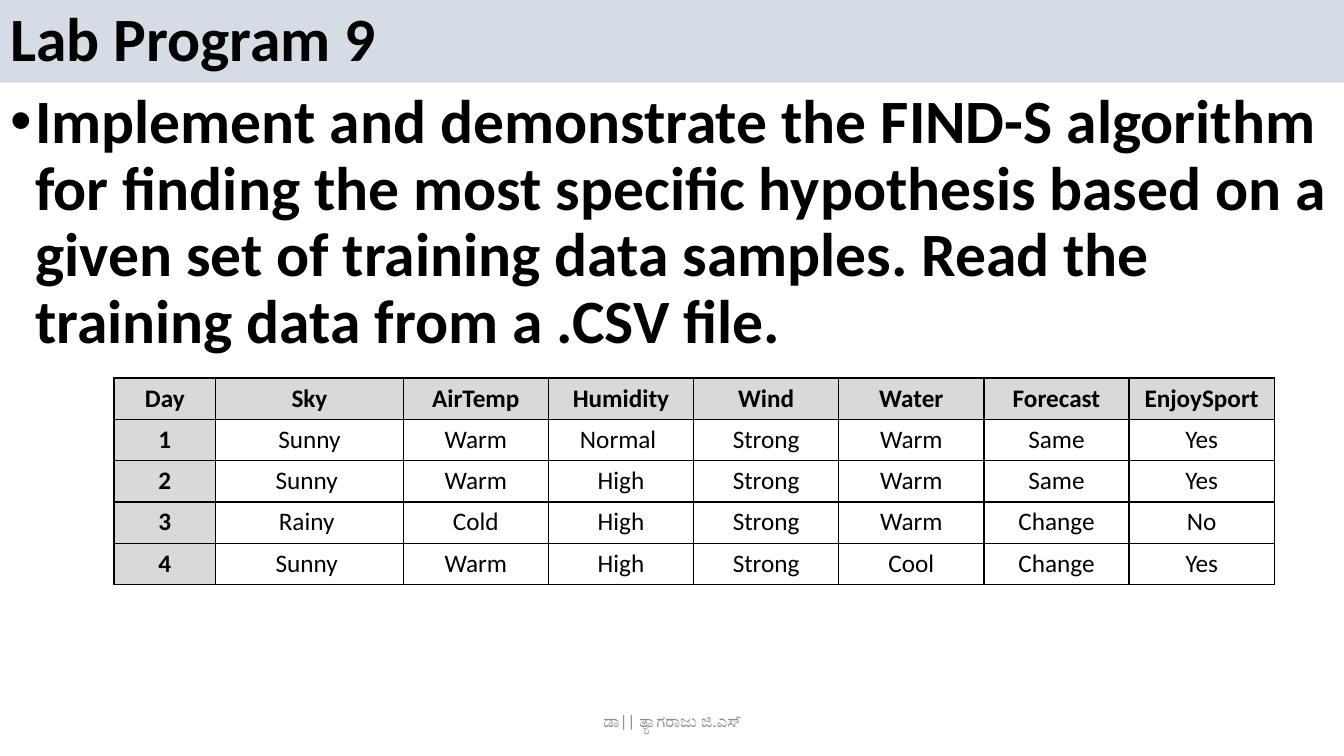
from typing import NamedTuple

from lxml.etree import SubElement
from pptx import Presentation
from pptx.dml.color import RGBColor
from pptx.enum.text import MSO_ANCHOR as Anchor, MSO_AUTO_SIZE as AutoSize, PP_ALIGN as Align
from pptx.oxml.ns import qn
from pptx.util import Inches, Pt

COLORS = {"text": "000000", "title": "D6DCE5", "label": "D9D9D9",
          "cell": "FFFFFF", "border": "000000", "footer": "8C8C8C"}
FONT = "Calibri"


class Sample(NamedTuple):
    day: str
    sky: str
    air_temp: str
    humidity: str
    wind: str
    water: str
    forecast: str
    enjoy_sport: str


HEADINGS = Sample("Day", "Sky", "AirTemp", "Humidity", "Wind", "Water", "Forecast", "EnjoySport")
SAMPLES = [
    Sample("1", "Sunny", "Warm", "Normal ", "Strong", "Warm", "Same", "Yes"),
    Sample("2", "Sunny ", "Warm", "High", "Strong", "Warm", "Same", "Yes"),
    Sample("3", "Rainy ", "Cold", "High", "Strong", "Warm", "Change", "No"),
    Sample("4", "Sunny ", "Warm", "High", "Strong", "Cool", "Change", "Yes"),
]
COLUMN_WIDTHS = [1.01, 1.86] + [1.44] * 6
ROW_HEIGHT = 0.41


def place(shape, left: float, top: float, width: float, height: float) -> None:
    shape.left, shape.top = Inches(left), Inches(top)
    shape.width, shape.height = Inches(width), Inches(height)


def write(frame, text: str, size: int, align: Align, bold: bool = False,
          color: str = "text"):
    frame.text = text
    line = frame.paragraphs[0]
    line.alignment = align
    line.font.name = FONT
    line.font.size = Pt(size)
    line.font.bold = bold
    line.font.color.rgb = RGBColor.from_string(COLORS[color])
    return line


def fill(target, color: str) -> None:
    target.fill.solid()
    target.fill.fore_color.rgb = RGBColor.from_string(COLORS[color])


def add_borders(cell) -> None:
    props = cell._tc.get_or_add_tcPr()
    for index, side in enumerate(("a:lnL", "a:lnR", "a:lnT", "a:lnB")):
        edge = props.makeelement(qn(side), {"w": str(Pt(1))})
        SubElement(SubElement(edge, qn("a:solidFill")), qn("a:srgbClr"), val=COLORS["border"])
        props.insert(index, edge)


def add_samples(slide) -> None:
    rows = [HEADINGS, *SAMPLES]
    table = slide.shapes.add_table(
        len(rows), len(COLUMN_WIDTHS), Inches(1.13), Inches(3.75),
        Inches(sum(COLUMN_WIDTHS)), Inches(ROW_HEIGHT * len(rows))).table
    for column, width in zip(table.columns, COLUMN_WIDTHS):
        column.width = Inches(width)
    for r, sample in enumerate(rows):
        table.rows[r].height = Inches(ROW_HEIGHT)
        for c, value in enumerate(sample):
            cell = table.cell(r, c)
            is_label = r == 0 or c == 0
            write(cell.text_frame, value, 18, Align.CENTER, bold=is_label)
            fill(cell, "label" if is_label else "cell")
            add_borders(cell)


def main() -> None:
    deck = Presentation()
    deck.slide_width, deck.slide_height = Inches(13.33), Inches(7.5)
    slide = deck.slides.add_slide(deck.slide_layouts[1])

    # Title band
    title = slide.shapes.title
    place(title, 0, 0, 13.33, 0.82)
    fill(title, "title")
    title.text_frame.auto_size = AutoSize.NONE
    title.text_frame.vertical_anchor = Anchor.MIDDLE
    write(title.text_frame, "Lab Program 9", 44, Align.LEFT, bold=True).line_spacing = 0.9

    # Task statement
    task = slide.placeholders[1]
    place(task, 0, 0.85, 13.33, 2.72)
    task.text_frame.auto_size = AutoSize.NONE
    statement = write(
        task.text_frame,
        "Implement and demonstrate the FIND-S algorithm for finding the most specific "
        "hypothesis based on a given set of training data samples. Read the training "
        "data from a .CSV file.", 44, Align.LEFT, bold=True)
    statement.line_spacing = 0.9
    statement.space_before = Pt(0)
    bullet = statement._p.get_or_add_pPr()
    bullet.set("marL", str(Inches(0.25)))
    bullet.set("indent", str(-Inches(0.25)))
    SubElement(bullet, qn("a:buFont"), typeface="Arial")
    SubElement(bullet, qn("a:buChar"), char="•")
    # Bullet elements belong ahead of the run defaults
    defaults = bullet.find(qn("a:defRPr"))
    if defaults is not None:
        bullet.append(defaults)

    # Training samples
    add_samples(slide)

    # Author footer
    author = slide.shapes.add_textbox(Inches(4.42), Inches(6.95), Inches(4.5), Inches(0.4))
    author.text_frame.word_wrap = True
    author.text_frame.vertical_anchor = Anchor.MIDDLE
    write(author.text_frame, "ಡಾ|| ತ್ಯಾಗರಾಜು ಜಿ.ಎಸ್", 12, Align.CENTER, color="footer")

    deck.save("out.pptx")


if __name__ == "__main__":
    main()
